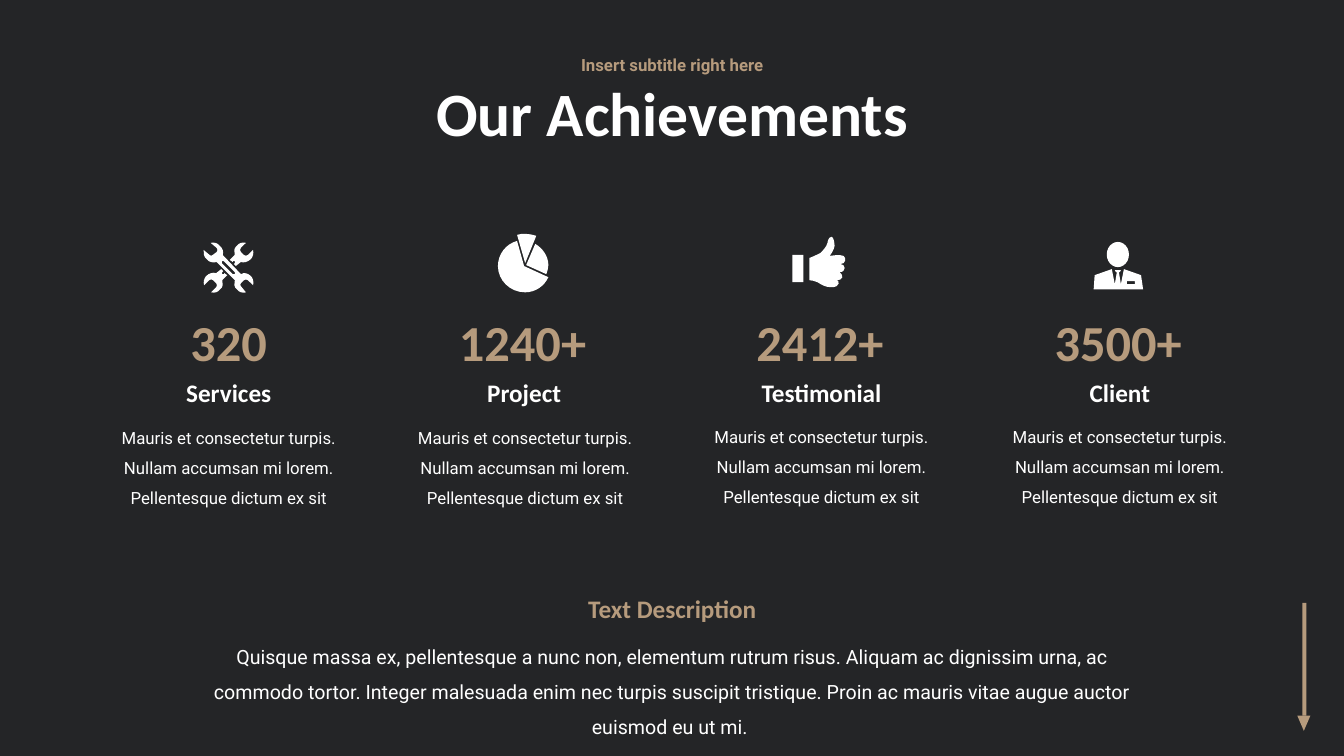
from lxml import etree
from pptx import Presentation
from pptx import util as u
from pptx.dml.color import RGBColor
from pptx.enum import shapes, text
from pptx.oxml.ns import qn

PX = 9144
COLORS = {"ground": "242527", "gold": "B69B7D", "white": "FFFFFF"}
SLIDE_HEIGHT = 750

TITLE = ("Our Achievements", (292, 64, 750, 103))
SUBTITLE = ("Insert subtitle right here", (292, 47, 750, 38))
BLURB = "Mauris et consectetur turpis. Nullam accumsan mi lorem. Pellentesque dictum ex sit"
STATS = [
    {"number": ("320", 126, 202), "label": ("Services", 134, 186), "blurb": (BLURB, 96, 262)},
    {"number": ("1240+", 401, 235), "label": ("Project", 427, 186), "blurb": (BLURB, 390, 262)},
    {"number": ("2412+", 696, 235), "label": ("Testimonial", 693, 244), "blurb": (BLURB, 684, 262)},
    {"number": ("3500+", 992, 235), "label": ("Client", 1018, 186), "blurb": (BLURB, 980, 262)},
]
STAT_ROWS = {"label": (369, 40), "number": (304, 71), "blurb": (409, 98)}
RAISED_BLURBS = (2, 3)
DESCRIPTION_HEAD = ("Text Description", (521, 584, 292, 40))
DESCRIPTION = (
    "Quisque massa ex, pellentesque a nunc non, elementum rutrum risus. "
    "Aliquam ac dignissim urna, ac commodo tortor. Integer malesuada enim nec "
    "turpis suscipit tristique. Proin ac mauris vitae augue auctor euismod eu ut mi. ",
    (192, 623, 950, 77),
)
BAND = (0, 194, 1333, 349)
ARROW_SHAFT = (1238, 652, 112, 4)
ARROW_TIP = (1287, 710, 13, 15)

STYLES = {
    "title": ({"size": 44, "name": "Calibri", "bold": True}, "white", 0.9),
    "subtitle": ({"size": 12, "name": "Roboto", "bold": True}, "gold", 0.9),
    "number": ({"size": 36, "name": "Calibri", "bold": True}, "gold", None),
    "label": ({"size": 18, "name": "Calibri", "bold": True}, "white", None),
    "blurb": ({"size": 12, "name": "Roboto", "bold": False}, "white", 1.5),
    "heading": ({"size": 18, "name": "Calibri", "bold": True}, "gold", None),
    "description": ({"size": 14, "name": "Roboto", "bold": False}, "white", 1.5),
}

# Pairs are line ends; sixes are Bézier curves.
PIE = [
    [[(522, 263), (542, 272), (543, 269, 544, 266, 544, 263), (544, 254, 538, 246, 531, 242)]],
    [[(520, 264), (513, 239), (502, 242, 494, 252, 494, 264), (494, 278, 506, 290, 521, 290),
      (531, 290, 540, 284, 544, 275)]],
    [[(521, 261), (532, 234), (529, 233, 525, 232, 520, 232), (518, 232, 516, 232, 513, 233)]],
]
WRENCH_HEAD = [
    (231, 260), (231, 259), (232, 259, 232, 259, 233, 259), (233, 260, 233, 260, 233, 261),
    (232, 262), (234, 264), (239, 260), (242, 261, 246, 260, 249, 257),
    (251, 255, 252, 251, 251, 248), (246, 253), (245, 254, 243, 254, 242, 253), (239, 250),
    (238, 249, 238, 247, 239, 246), (244, 241), (241, 240, 237, 241, 235, 244),
    (232, 246, 232, 250, 233, 253), (228, 258),
]
WRENCH_TURN = (453.5, 531)
OPPOSITE_HEAD = [tuple(WRENCH_TURN[i % 2] - v for i, v in enumerate(step)) for step in WRENCH_HEAD]
LONG_WRENCH = [
    [(249, 274), (246, 271, 242, 270, 239, 272), (221, 253), (222, 250, 221, 246, 218, 244),
     (216, 241, 212, 240, 209, 241), (215, 246), (216, 247, 216, 249, 215, 250), (211, 253),
     (210, 254, 209, 254, 208, 253), (202, 248), (202, 251, 202, 255, 205, 257),
     (207, 260, 211, 261, 215, 260), (233, 278), (232, 281, 232, 285, 235, 287),
     (237, 290, 241, 291, 244, 290), (239, 284), (238, 283, 238, 282, 239, 281), (242, 278),
     (243, 277, 245, 277, 246, 278), (251, 283), (252, 280, 251, 276, 249, 274)],
    [(233, 272), (232, 272, 232, 272, 231, 272), (220, 261), (220, 260, 220, 260, 220, 259),
     (221, 259, 222, 259, 222, 259), (233, 270), (233, 270, 233, 271, 233, 272)],
]
THUMB = [
    (837, 254), (834, 252, 823, 254, 823, 254), (825, 252, 828, 246, 828, 244),
    (828, 241, 827, 235, 825, 235), (822, 235, 821, 240, 821, 241),
    (820, 245, 816, 249, 814, 251), (810, 253, 808, 254, 803, 256), (803, 278),
    (806, 278, 808, 279, 811, 280), (816, 283, 819, 285, 825, 285),
    (834, 285, 833, 278, 830, 278), (837, 278, 837, 273, 833, 270),
    (840, 270, 839, 262, 834, 262), (839, 262, 840, 256, 837, 254),
]
SUIT = [
    [(1132, 273), (1115, 267), (1112, 282), (1110, 270), (1111, 270), (1112, 268), (1106, 268),
     (1107, 270), (1108, 270), (1106, 282), (1103, 267), (1086, 273), (1085, 287), (1134, 287)],
    [(1126, 282), (1118, 282), (1118, 279), (1122, 279), (1126, 279)],
]
ICONS = [
    {"outlines": PIE},
    {"outlines": [[WRENCH_HEAD], [OPPOSITE_HEAD], LONG_WRENCH]},
    {"outlines": [[THUMB]], "preset": ("RECTANGLE", (786, 253, 11, 27))},
    {"outlines": [SUIT], "preset": ("OVAL", (1098, 240, 22, 25))},
]


def rgb(color):
    return RGBColor.from_string(COLORS[color])


def paint(part, color):
    part.shadow.inherit = False
    part.fill.solid()
    part.fill.fore_color.rgb = rgb(color)
    part.line.fill.background()
    return part


def preset(kind, box, color):
    return paint(slide.shapes.add_shape(shapes.MSO_SHAPE[kind], *(v * PX for v in box)), color)


def outline(contours):
    ends = [[(step[-2] * PX, step[-1] * PX) for step in contour] for contour in contours]
    builder = slide.shapes.build_freeform(*ends[0][0], scale=1.0)
    for index, points in enumerate(ends):
        if index:
            builder.move_to(*points[0])
        builder.add_line_segments(points[1:], close=True)
    part = builder.convert_to_shape()
    steps = [step for contour in contours for step in contour[1:]]
    for line, step in zip(list(part._element.iter(qn("a:lnTo"))), steps):
        if len(step) == 6:
            line.tag = qn("a:cubicBezTo")
            for place, x in enumerate((0, 2)):
                point = etree.Element(qn("a:pt"), x=str(round(step[x] * PX) - part.left),
                                      y=str(round(step[x + 1] * PX) - part.top))
                line.insert(place, point)
    return paint(part, "white")


def write(holder, words, style):
    font, color, spacing = STYLES[style]
    holder.text_frame.word_wrap = True
    paragraph = holder.text_frame.paragraphs[0]
    run = paragraph.add_run()
    run.text = words
    layout = {"alignment": text.PP_ALIGN.CENTER, "line_spacing": spacing, "space_before": u.Pt(0)}
    for key, value in layout.items():
        setattr(paragraph, key, value)
    for key, value in {**font, "size": u.Pt(font["size"])}.items():
        setattr(run.font, key, value)
    run.font.color.rgb = rgb(color)


def caption(words, box, style):
    holder = slide.shapes.add_textbox(*(v * PX for v in box))
    write(holder, words, style)
    holder.text_frame.auto_size = text.MSO_AUTO_SIZE.SHAPE_TO_FIT_TEXT


deck = Presentation()
deck.slide_height = SLIDE_HEIGHT * PX
deck.slide_width = deck.slide_height * 16 // 9
slide = deck.slides.add_slide(deck.slide_layouts[0])
slide.background.fill.solid()
slide.background.fill.fore_color.rgb = rgb("ground")

for holder, (words, box), style in zip(slide.placeholders, (TITLE, SUBTITLE), ("title", "subtitle")):
    for side, value in zip(("left", "top", "width", "height"), box):
        setattr(holder, side, value * PX)
    write(holder, words, style)
    holder.text_frame.vertical_anchor = text.MSO_ANCHOR.MIDDLE

band = preset("RECTANGLE", BAND, "ground")
band_color = band.fill._xPr.find(qn("a:solidFill"))[0]
etree.SubElement(band_color, qn("a:alpha"), val="85000")

shaft = preset("RECTANGLE", ARROW_SHAFT, "gold")
shaft.rotation = 90
tip = preset("ISOSCELES_TRIANGLE", ARROW_TIP, "gold")
tip.rotation = 180
slide.shapes.add_group_shape([shaft, tip])

for icon in ICONS:
    parts = [outline(contours) for contours in icon["outlines"]]
    if "preset" in icon:
        parts.append(preset(*icon["preset"], "white"))
    slide.shapes.add_group_shape(parts)

for row, (top, height) in STAT_ROWS.items():
    for column, stat in enumerate(STATS):
        words, left, width = stat[row]
        lift = int(row == "blurb" and column in RAISED_BLURBS)
        caption(words, (left, top - lift, width, height), row)

caption(*DESCRIPTION, "description")
caption(*DESCRIPTION_HEAD, "heading")
deck.save("out.pptx")
